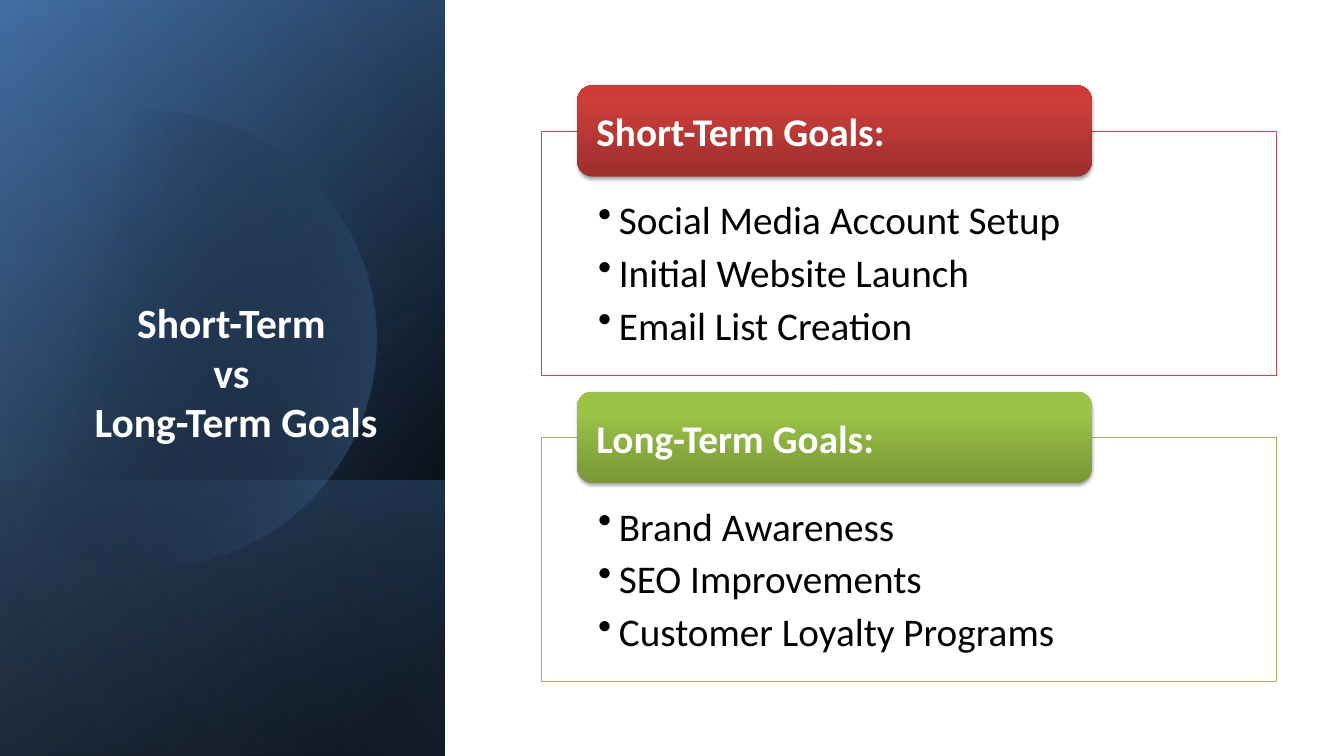
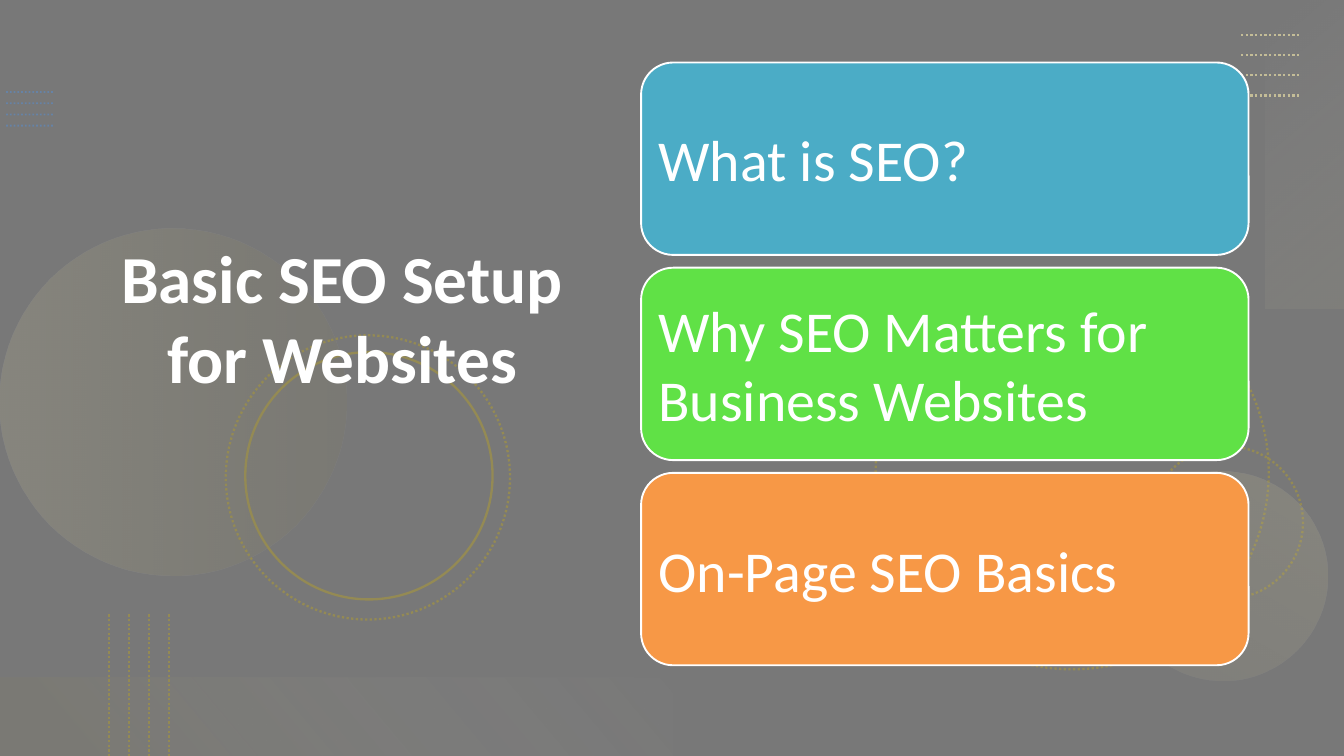
from math import acos, cos, pi, sin

from lxml import etree
from pptx import Presentation
from pptx.dml.color import RGBColor
from pptx.enum import dml, shapes, text
from pptx.oxml.ns import qn
from pptx.util import Inches, Pt

WIDE, HIGH = 20, 11.25
FONT = "Calibri"
HUE = {
    "white": "FFFFFF", "black": "000000",
    "navy": "376092", "blue": "4F81BD", "sky": "95B3D7", "dash": "558ED5",
    "red": "BF4C48", "green": "98B954",
    "tan": "C4BD97", "olive": "948A54", "cream": "F8F7F3", "ivory": "F5F4ED",
    "teal": "4BACC6", "lime": "60E146", "orange": "F79846",
}
RED_TAB = [(0, "9C2F2D"), (80, "CB3E3A"), (100, "CE3B37")]
GREEN_TAB = [(0, "789737"), (80, "9BC447"), (100, "9DC745")]
KIND = shapes.MSO_SHAPE
TOP, MIDDLE, BOTTOM = (text.MSO_ANCHOR.TOP, text.MSO_ANCHOR.MIDDLE,
                       text.MSO_ANCHOR.BOTTOM)


def rgb(name):
    return RGBColor.from_string(HUE.get(name, name))


def fade(color, part):
    """Set the opacity of a colour element, in percent."""
    etree.SubElement(color, qn("a:alpha")).set("val", str(part * 1000))


def fill_flat(shape, name, part=100):
    shape.fill.solid()
    shape.fill.fore_color.rgb = rgb(name)
    if part < 100:
        fade(shape._element.spPr.find(qn("a:solidFill"))[0], part)


def fill_grad(shape, stops, angle):
    """Stops are (place, colour[, opacity]); the angle runs clockwise."""
    shape.fill.gradient()
    shape.fill.gradient_angle = (360 - angle) % 360
    steps = shape._element.spPr.find(qn("a:gradFill")).find(qn("a:gsLst"))
    for old in list(steps):
        steps.remove(old)
    for place, name, *part in stops:
        step = etree.SubElement(steps, qn("a:gs"))
        step.set("pos", str(place * 1000))
        color = etree.SubElement(step, qn("a:srgbClr"))
        color.set("val", HUE.get(name, name))
        if part:
            fade(color, part[0])


def stroke(shape, name, width, dotted=False, part=100):
    line = shape.line
    line.color.rgb = rgb(name)
    line.width = Pt(width)
    if part < 100:
        fade(shape._element.spPr.find(qn("a:ln")).find(qn("a:solidFill"))[0], part)
    if dotted:
        line.dash_style = dml.MSO_LINE.ROUND_DOT


def add_form(slide, kind, box, turn=0, flip=False):
    """Add a bare shape that covers the box once it is turned."""
    left, top, wide, high = box
    if turn in (90, 270):
        left, top = left + (wide - high) / 2, top + (high - wide) / 2
        wide, high = high, wide
    form = slide.shapes.add_shape(kind, *map(Inches, (left, top, wide, high)))
    form.shadow.inherit = False
    form.fill.background()
    form.line.fill.background()
    form.rotation = turn
    if flip:
        form._element.spPr.find(qn("a:xfrm")).set("flipH", "1")
    return form


def add_line(slide, start, end, name, width, part=100):
    line = slide.shapes.add_connector(
        shapes.MSO_CONNECTOR.STRAIGHT, *map(Inches, (*start, *end)))
    stroke(line, name, width, True, part)
    etree.SubElement(line._element.spPr, qn("a:effectLst"))


def write(shape, lines, size, color="white", bold=False, center=False,
          anchor=MIDDLE, inset=(.1, .05, .1, .05), bullet=False, after=0):
    frame = shape.text_frame
    frame.word_wrap = True
    frame.vertical_anchor = anchor
    (frame.margin_left, frame.margin_top,
     frame.margin_right, frame.margin_bottom) = map(Inches, inset)
    for i, line in enumerate(lines):
        para = frame.add_paragraph() if i else frame.paragraphs[0]
        para.text = line
        para.alignment = text.PP_ALIGN.CENTER if center else text.PP_ALIGN.LEFT
        para.space_after = Pt(after)
        if bullet:
            props = para._p.get_or_add_pPr()
            props.set("marL", str(Inches(.31)))
            props.set("indent", str(-Inches(.31)))
            etree.SubElement(props, qn("a:buChar")).set("char", "•")
        para.font.name = FONT
        para.font.size = Pt(size)
        para.font.bold = bold
        para.font.color.rgb = rgb(color)


def add_title(slide, box, words, size, anchor):
    title = slide.shapes.add_textbox(*map(Inches, box))
    write(title, [words], size, bold=True, center=True, anchor=anchor)


def add_slide(deck):
    slide = deck.slides.add_slide(deck.slide_layouts[6])
    slide.background.fill.solid()
    slide.background.fill.fore_color.rgb = rgb("white")
    return slide


def add_disc(slide, mid, radius, edge):
    """Add a circle cut off straight at the left edge given."""
    x, y = mid
    reach = pi - acos((x - edge) / radius)
    count = 120
    angles = [reach * (2 * i / count - 1) for i in range(count + 1)]
    points = [(Inches(x + radius * cos(a)), Inches(y + radius * sin(a)))
              for a in angles]
    path = slide.shapes.build_freeform(*points[0])
    path.add_line_segments(points[1:], close=True)
    disc = path.convert_to_shape()
    disc.shadow.inherit = False
    disc.line.fill.background()
    fill_grad(disc, [(29, "black", 0), (100, "blue", 43)], 14)


def add_panel(slide, box):
    left, top, wide, high = box
    foot = (left, top + high - 4.1, wide, 4.1)

    def wash(area, stops, angle):
        fill_grad(add_form(slide, KIND.RECTANGLE, area, 90, True), stops, angle)

    wash(box, [(8, "black"), (100, "navy")], 50)
    wash(box, [(0, "black", 0), (99, "blue", 46)], 30)
    wash(foot, [(2, "blue", 29), (100, "black", 30)], 130)
    add_disc(slide, (left + 2.2, top + 5.05), 3.4, left - .23)
    wash(box, [(0, "black", 0), (99, "sky", 11)], 120)
    add_title(slide, (left + .96, top + 2.76, 5.11, 3.93),
              "Short-Term \vvs \vLong-Term Goals", 44.5, BOTTOM)


def add_goals(slide, box, head, goals, edge, stops):
    left, top, wide, high = box
    card = add_form(slide, KIND.RECTANGLE, (left, top + .68, wide, high - .68))
    fill_flat(card, "white", 90)
    stroke(card, edge, .75)
    write(card, goals, 42, "black", anchor=TOP, bullet=True, after=6,
          inset=(.85, .96, .85, .33))

    tab = add_form(slide, KIND.ROUNDED_RECTANGLE, (left + .54, top, wide * .7, 1.36))
    fill_grad(tab, stops, 270)
    effects = tab._element.spPr.find(qn("a:effectLst"))
    shade = etree.SubElement(effects, qn("a:outerShdw"))
    for key, value in (("blurRad", Pt(3.1)), ("dist", Pt(1.8)),
                       ("dir", 90 * 60000), ("rotWithShape", 0)):
        shade.set(key, str(int(value)))
    color = etree.SubElement(shade, qn("a:srgbClr"))
    color.set("val", HUE["black"])
    fade(color, 35)
    write(tab, [head], 42, bold=True, inset=(.22, 0, .22, 0))


def add_lines(slide, box, count, name, width, upright=False, part=100):
    """Fill the box with evenly spaced dotted lines."""
    left, top, wide, high = box
    for i in range(count):
        share = i / (count - 1)
        if upright:
            x = left + wide * share
            add_line(slide, (x, top), (x, top + high), name, width, part)
        else:
            y = top + high * share
            add_line(slide, (left, y), (left + wide, y), name, width, part)


def add_ring(slide, left, top, size, turn=75, dotted=True):
    ring = add_form(slide, KIND.OVAL, (left, top, size, size), turn)
    stroke(ring, "olive", 2.5, dotted)


def add_ball(slide, left, top, size, turn, stops):
    ball = add_form(slide, KIND.OVAL, (left, top, size, size), turn)
    fill_grad(ball, stops, 90)


def add_decor(slide, box):
    left, top, wide, high = box
    right, base = left + wide, top + high
    fill_flat(add_form(slide, KIND.RECTANGLE, box), "black", 53)
    add_lines(slide, (left + .09, top + 1.37, .71, .5), 4, "dash", 2, part=50)

    add_ring(slide, left + 13.03, top + 4.11, 5.85)
    add_ring(slide, left + 17.12, top + 6.64, 2.27, 270)
    add_ball(slide, left, top + 3.4, 5.16, 270,
             [(0, "tan", 20), (100, "olive", 10)])
    add_ball(slide, left + 16.65, top + 7.01, 3.11, 210,
             [(0, "tan", 10), (100, "tan", 20)])
    add_ring(slide, left + 3.36, top + 4.99, 4.23)
    add_ring(slide, left + 3.65, top + 5.24, 3.68, dotted=False)

    side = add_form(slide, KIND.RECTANGLE, (right - 1.17, top, 1.17, 4.59), 270)
    fill_grad(side, [(0, "cream", 0), (100, "tan", 10)], 140)
    add_lines(slide, (right - 1.53, top + .52, .9, .9), 4, "tan", 2.5)
    foot = add_form(slide, KIND.RECTANGLE, (left, base - 1.17, wide / 2, 1.17), 180)
    fill_grad(foot, [(10, "olive", 10), (100, "ivory", 0)], 140)
    add_lines(slide, (left + 1.62, base - 2.11, .9, 2.11), 4, "olive", 2.5, True)


def add_topics(slide, box, topics):
    left, top, wide, high = box
    gap = .19
    tall = (high - gap * (len(topics) - 1)) / len(topics)
    for i, (topic, name) in enumerate(topics):
        card = add_form(slide, KIND.ROUNDED_RECTANGLE,
                        (left, top + i * (tall + gap), wide, tall))
        fill_flat(card, name)
        stroke(card, "white", 2)
        write(card, [topic], 62, inset=(.12,) * 4)


def goal_slide(deck):
    slide = add_slide(deck)
    add_panel(slide, (0, 0, 6.62, HIGH))
    groups = [
        ("Short-Term Goals:",
         ["Social Media Account Setup", "Initial Website Launch",
          "Email List Creation"], "red", RED_TAB),
        ("Long-Term Goals:",
         ["Brand Awareness", "SEO Improvements", "Customer Loyalty Programs"],
         "green", GREEN_TAB),
    ]
    for i, group in enumerate(groups):
        add_goals(slide, (8.05, 1.27 + i * 4.56, 10.94, 4.31), *group)


def topic_slide(deck):
    slide = add_slide(deck)
    add_decor(slide, (0, 0, WIDE, HIGH))
    add_title(slide, (1.03, 3.46, 8.12, 6.61), "Basic SEO Setup for Websites",
              72, TOP)
    add_topics(slide, (9.54, .93, 9.04, 8.97), [
        ("What is SEO?", "teal"),
        ("Why SEO Matters for Business Websites", "lime"),
        ("On-Page SEO Basics", "orange"),
    ])


def main():
    deck = Presentation()
    deck.slide_width, deck.slide_height = Inches(WIDE), Inches(HIGH)
    goal_slide(deck)
    topic_slide(deck)
    deck.save("out.pptx")


if __name__ == "__main__":
    main()
